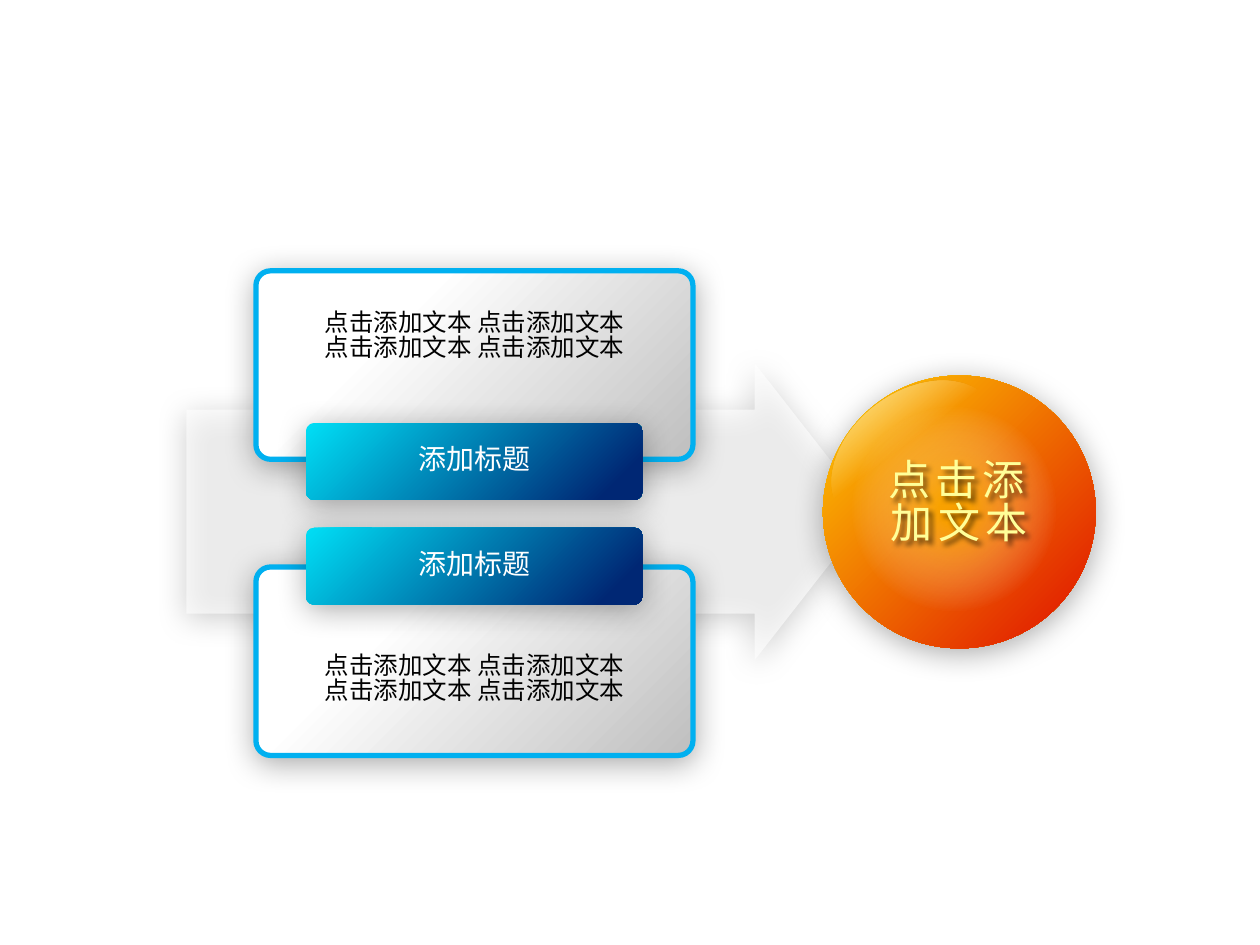
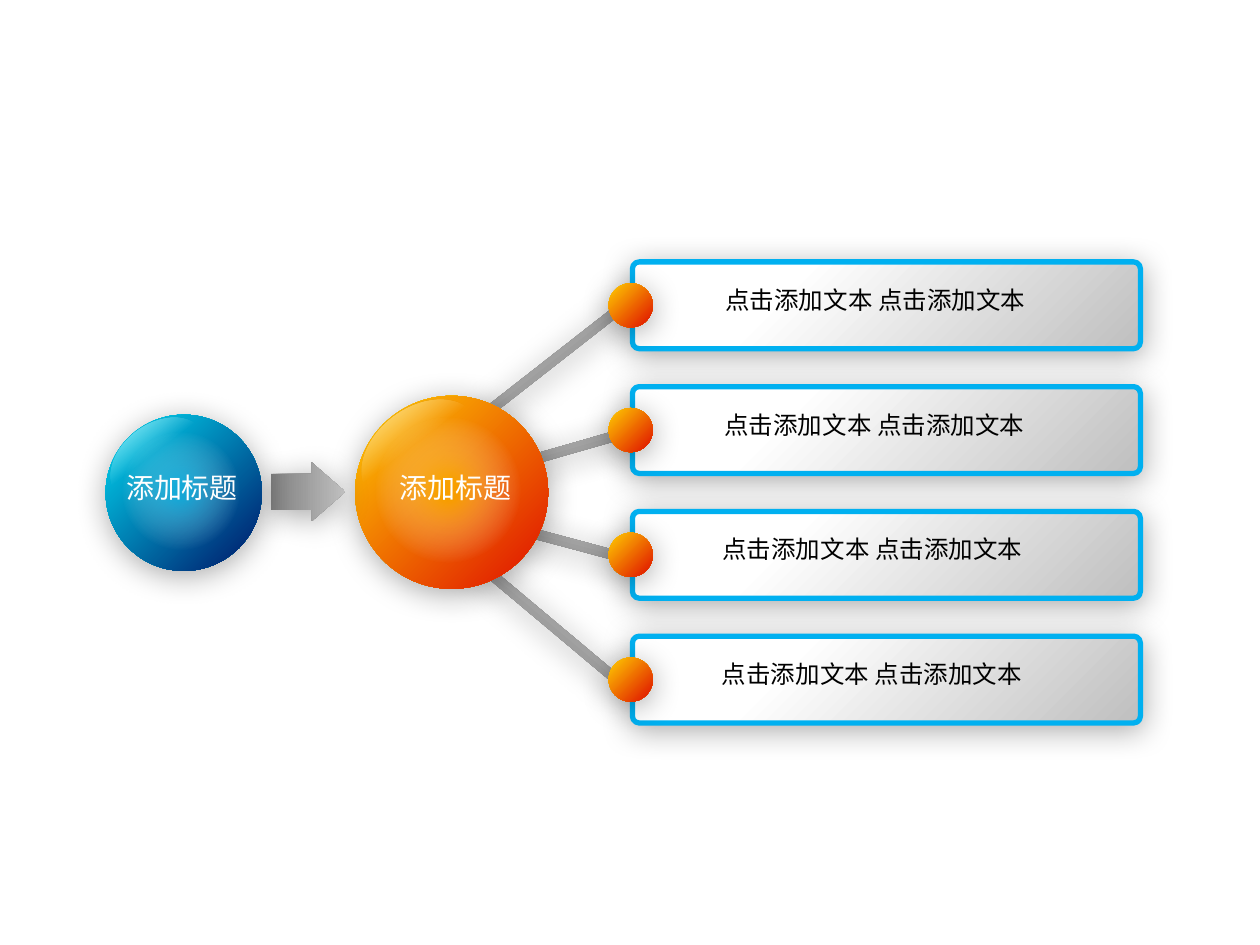
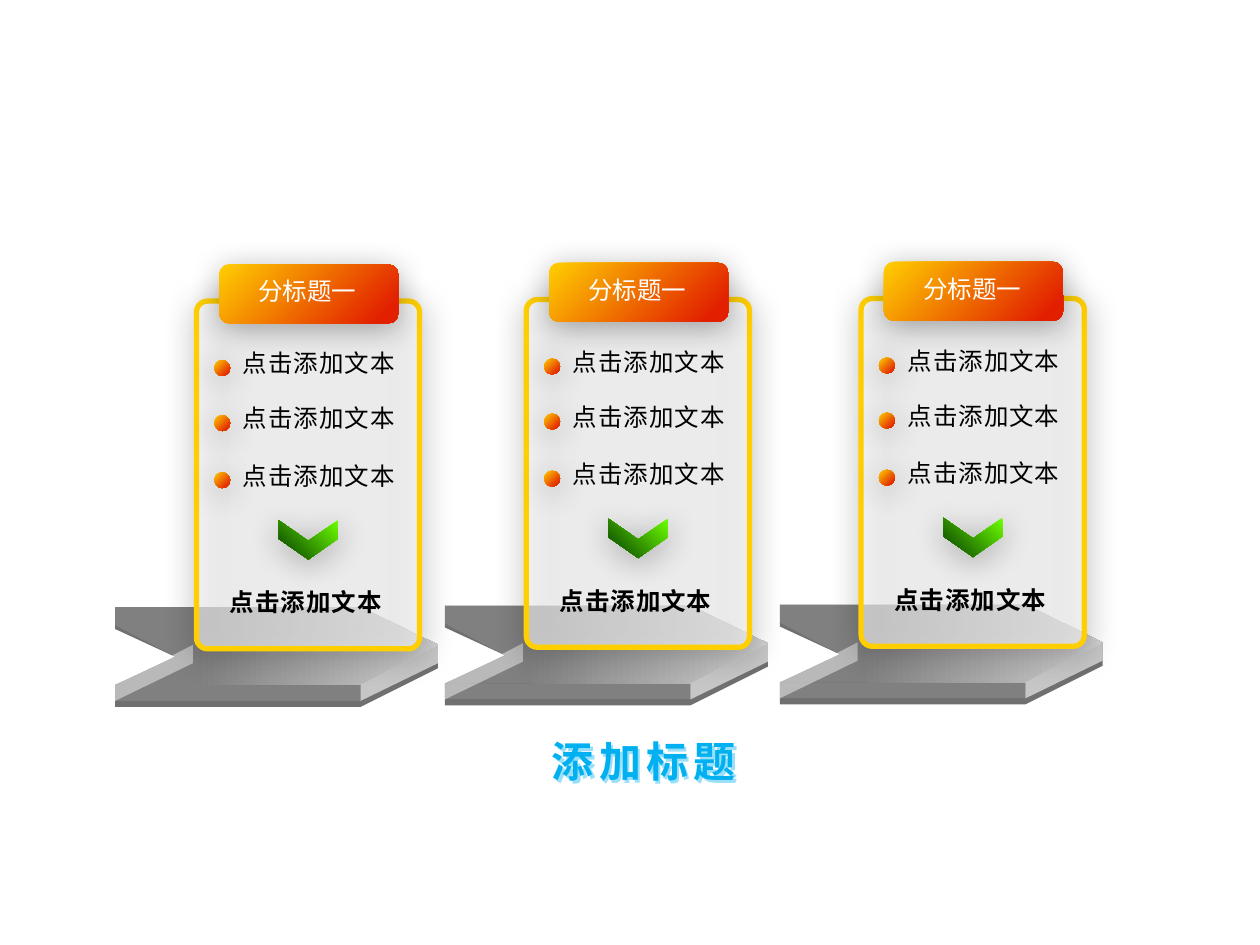
"""Builds three diagram slides: merging panels, a branching hub and standing cards."""
from lxml import etree
from pptx import Presentation
from pptx import util as u
from pptx.dml.color import RGBColor
from pptx.enum import shapes, text
from pptx.oxml.ns import qn

FONT = "Noto Sans CJK SC"
WHITE = RGBColor(0xFF, 0xFF, 0xFF)
BLACK = RGBColor(0x00, 0x00, 0x00)
SKY = RGBColor(0x00, 0xB0, 0xF0)
CYAN = RGBColor(0x00, 0xDF, 0xF6)
NAVY = RGBColor(0x00, 0x27, 0x74)
AQUA = RGBColor(0x2D, 0xD7, 0xFF)
GOLD = RGBColor(0xFF, 0xCF, 0x01)
AMBER = RGBColor(0xFF, 0xC0, 0x00)
RED = RGBColor(0xE2, 0x20, 0x00)
CREAM = RGBColor(0xFF, 0xFF, 0x99)
LIME = RGBColor(0x6E, 0xFF, 0x01)
MOSS = RGBColor(0x0F, 0x50, 0x00)
DARK = RGBColor(0x70, 0x70, 0x70)
GREY = RGBColor(0x80, 0x80, 0x80)
SILVER = RGBColor(0xBF, 0xBF, 0xBF)
PALE = RGBColor(0xD0, 0xD0, 0xD0)

BODY = "点击添加文本"
PAIR = "点击添加文本 点击添加文本"
HEAD = "添加标题"
SUB = "分标题一"

FIRE = [(0, GOLD, 100), (90, RED, 100)]
SEA = [(0, CYAN, 100), (90, NAVY, 100)]
LEAF = [(0, LIME, 100), (90, MOSS, 100)]
SHEET = [(30, WHITE, 100), (100, SILVER, 100)]
STEEL = [(0, GREY, 100), (100, SILVER, 100)]
STONE = [(25, GREY, 100), (100, PALE, 100)]
GLOSS = [(0, WHITE, 100), (45, WHITE, 0)]
WARM = [(10, AMBER, 60), (70, WHITE, 0)]
COOL = [(10, AQUA, 50), (70, WHITE, 0)]
GLASS = [(0, WHITE, 60)]
SOFT = (BLACK, 33, 17.8, 3, 87)

PANELS = [(5.46, 6.15, 8.53), (11.43, 13.08, 10.64)]
BARS = [(8.59, 9.17, 4.27, 344), (8.59, 10.64, 4.22, 15),
        (8.23, 7.54, 4.9, 322), (8.18, 12.09, 4.9, 40)]
ROWS = [(13.2, PAIR), (13.18, PAIR), (13.14, PAIR), (13.13, PAIR)]
CARDS = [(0, 0), (6.65, -0.03), (13.4, -0.05)]
ITEMS = [(6.99, BODY), (8.1, BODY), (9.25, BODY)]
BLOCK = [
    ([(2.32, 12.24), (7.27, 12.24), (8.83, 13), (8.83, 13.47), (7.27, 14.25),
      (2.32, 14.25), (2.32, 13.81), (3.53, 13.24), (2.32, 12.68)], [(0, DARK, 100)]),
    ([(2.32, 12.24), (7.27, 12.24), (8.83, 13), (7.27, 13.81),
      (2.32, 13.81), (3.53, 13.24), (2.32, 12.6)], STONE),
    ([(2.32, 13.81), (7.27, 13.81), (7.27, 14.13), (2.32, 14.13)], [(0, GREY, 100)]),
    ([(2.32, 13.81), (3.89, 13), (3.89, 13.37), (2.32, 14.13)], [(0, WHITE, 45)]),
    ([(7.27, 13.81), (8.83, 13), (8.83, 13.37), (7.27, 14.13)], [(0, PALE, 90)]),
]

KIND = shapes.MSO_SHAPE


def node(up, tag, **attrs):
    kid = etree.SubElement(up, qn("a:" + tag))
    for key, val in attrs.items():
        kid.set(key, str(val))
    return kid


def tint(up, color, alpha):
    node(node(up, "srgbClr", val=color), "alpha", val=int(alpha * 1000))


def paint(shape, stops, ang=45):
    props = shape._element.spPr
    if len(stops) == 1:
        fill = node(props, "solidFill")
        tint(fill, *stops[0][1:])
    else:
        fill = node(props, "gradFill", rotWithShape=1)
        ramp = node(fill, "gsLst")
        for pos, color, alpha in stops:
            tint(node(ramp, "gs", pos=pos * 1000), color, alpha)
        if ang is None:
            mid = node(fill, "path", path="circle")
            node(mid, "fillToRect", l=50000, t=50000, r=50000, b=50000)
        else:
            node(fill, "lin", ang=ang * 60000, scaled=0)
    props.insert(2, fill)


def shade(shape, glow):
    shape.shadow.inherit = False
    if glow:
        color, alpha, blur, dist, turn = glow
        cast = node(shape._element.spPr.find(qn("a:effectLst")), "outerShdw",
                    blurRad=int(u.Pt(blur)), dist=int(u.Pt(dist)),
                    dir=turn * 60000, algn="ctr", rotWithShape=0)
        tint(cast, color, alpha)


def style(shape, stops, ang, edge, glow):
    paint(shape, stops, ang)
    if edge is None:
        shape.line.fill.background()
    else:
        shape.line.color.rgb = edge
        shape.line.width = u.Pt(3)
    shade(shape, glow)


def draw(slide, kind, box, stops, ang=45, edge=None, glow=SOFT, adj=(), turn=0):
    shape = slide.shapes.add_shape(kind, *map(u.Cm, box))
    for i, val in enumerate(adj):
        shape.adjustments[i] = val
    shape.rotation = turn
    style(shape, stops, ang, edge, glow)


def face(slide, points, stops, dx, dy):
    first, *rest = [(u.Cm(x + dx), u.Cm(y + dy)) for x, y in points]
    pen = slide.shapes.build_freeform(*first)
    pen.add_line_segments(rest)
    style(pen.convert_to_shape(), stops, 0, None, None)


def write(slide, box, lines, size=14, color=BLACK, bold=False, gap=0, mid=False, glow=None):
    label = slide.shapes.add_textbox(*map(u.Cm, box))
    frame = label.text_frame
    frame.word_wrap = True
    if mid:
        frame.vertical_anchor = text.MSO_ANCHOR.MIDDLE
    for i, line in enumerate(lines):
        para = frame.add_paragraph() if i else frame.paragraphs[0]
        para.alignment = text.PP_ALIGN.CENTER
        para.line_spacing = 0.85
        run = para.add_run()
        run.text = line
        font = run.font
        font.name, font.size, font.bold = FONT, u.Pt(size), bold
        font.color.rgb = color
        props = run._r.get_or_add_rPr()
        node(props, "ea", typeface=FONT)
        if gap:
            props.set("spc", str(int(gap * 100)))
    if glow:
        shade(label, glow)


def head(slide, box):
    write(slide, box, [HEAD], 16, WHITE, mid=True)


def ball(slide, x, y, d, stops, core):
    draw(slide, KIND.OVAL, (x, y, d, d), stops)
    draw(slide, KIND.OVAL, (x, y + 0.06 * d, 0.68 * d, 0.48 * d), GLOSS, 90,
         glow=None, turn=323.1)
    draw(slide, KIND.OVAL, (x + 0.1 * d, y + 0.11 * d, 0.76 * d, 0.76 * d), core, None,
         glow=None)


def merge(slide):
    draw(slide, KIND.RIGHT_ARROW, (3.76, 7.32, 13.79, 5.99), GLASS, adj=(0.686, 0.39))
    for top, line, _ in PANELS:
        draw(slide, KIND.ROUNDED_RECTANGLE, (5.16, top, 8.81, 3.8), SHEET,
             edge=SKY, adj=(0.078,))
        write(slide, (5.25, line, 8.64, 1.42), [PAIR, PAIR])
    for _, _, top in PANELS:
        draw(slide, KIND.ROUNDED_RECTANGLE, (6.17, top, 6.78, 1.55), SEA, adj=(0.106,))
        head(slide, (6.53, top + 0.3, 6.07, 0.94))
    ball(slide, 16.59, 7.57, 5.5, FIRE, WARM)
    write(slide, (17.2, 9.17, 4.27, 2.31), [BODY], 24, CREAM, gap=3,
          glow=(BLACK, 60, 3, 3, 45))


def branch(slide):
    for x, y, wide, turn in BARS:
        draw(slide, KIND.ROUNDED_RECTANGLE, (x, y, wide, 0.2), STEEL, 270,
             adj=(0.5,), turn=turn)
    ball(slide, 7.16, 7.98, 3.89, FIRE, WARM)
    head(slide, (7.19, 9.4, 3.99, 0.94))
    for i, (x, line) in enumerate(ROWS):
        top = 5.28 + 2.515 * i
        draw(slide, KIND.ROUNDED_RECTANGLE, (12.75, top, 10.24, 1.75), SHEET,
             edge=SKY, adj=(0.078,))
        write(slide, (x, top + 0.43, 8.9, 0.86), [line])
        draw(slide, KIND.OVAL, (12.27, top + 0.43, 0.89, 0.89), FIRE)
    draw(slide, KIND.RIGHT_ARROW, (5.46, 9.32, 1.5, 1.19), STEEL, 0, adj=(0.609, 0.569))
    ball(slide, 2.13, 8.36, 3.15, SEA, COOL)
    head(slide, (1.7, 9.4, 3.94, 0.94))


def card(slide, dx, dy):
    def at(x, y, wide, high):
        return x + dx, y + dy, wide, high

    for points, stops in BLOCK:
        face(slide, points, stops, dx, dy)
    draw(slide, KIND.ROUNDED_RECTANGLE, at(3.96, 6.07, 4.5, 7.01), GLASS,
         edge=GOLD, adj=(0.05,))
    draw(slide, KIND.ROUNDED_RECTANGLE, at(4.42, 5.33, 3.61, 1.19), FIRE)
    write(slide, at(4.55, 5.54, 3.3, 0.86), [SUB], color=WHITE)
    draw(slide, KIND.CHEVRON, at(5.82, 10.29, 0.79, 1.19), LEAF, adj=(0.525,), turn=90)
    write(slide, at(3.89, 11.81, 4.55, 0.86), [BODY], bold=True, gap=0.5)
    for y, line in ITEMS:
        write(slide, at(4.45, y, 3.96, 0.86), [line], gap=0.5)
        draw(slide, KIND.OVAL, at(4.32, y + 0.27, 0.32, 0.32), FIRE)


def stand(slide):
    for dx, dy in CARDS:
        card(slide, dx, dy)
    write(slide, (8.18, 14.86, 9.6, 1.27), [HEAD], 24, SKY, True, 3,
          glow=(SKY, 40, 0, 2, 45))


def main():
    deck = Presentation()
    deck.slide_width, deck.slide_height = u.Cm(25.4), u.Cm(19.05)
    for build in (merge, branch, stand):
        build(deck.slides.add_slide(deck.slide_layouts[6]))
    deck.save("out.pptx")


if __name__ == "__main__":
    main()
